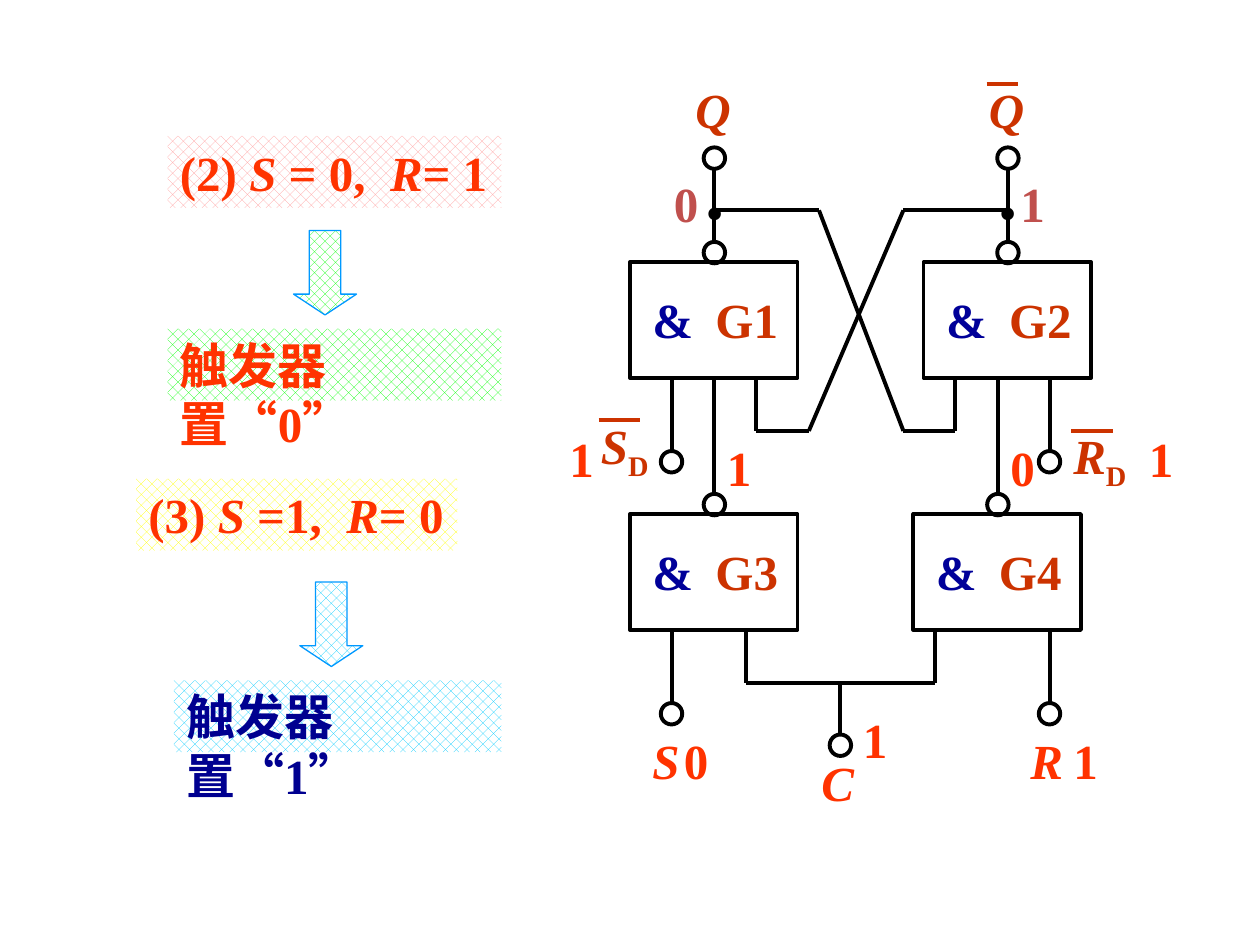
from itertools import pairwise

from lxml.etree import SubElement
from pptx import Presentation
from pptx.dml.color import RGBColor
from pptx.enum.dml import MSO_PATTERN
from pptx.enum.lang import MSO_LANGUAGE_ID as LANG
from pptx.enum.shapes import MSO_CONNECTOR, MSO_SHAPE
from pptx.enum.text import MSO_ANCHOR, PP_ALIGN
from pptx.oxml.ns import qn
from pptx.util import Inches, Pt

BLACK, RED, RUST, NAVY = "000000", "FF3300", "CC3300", "000099"
BUBBLE = 0.17


def color(target, value):
    """Set a colour format from a hex string."""
    target.rgb = RGBColor.from_string(value)


def write(s, parts, ink, size=28, wrap=True):
    """Write styled parts (text, style) as one paragraph."""
    tf = s.text_frame
    tf.word_wrap = wrap
    tf.vertical_anchor = MSO_ANCHOR.TOP
    p = tf.paragraphs[0]
    p.alignment = PP_ALIGN.LEFT
    for text, style in parts:
        r = p.add_run()
        r.text = text
        r.font.name = "Times New Roman"
        r.font.size = Pt(size)
        r.font.bold = True
        r.font.italic = style == "italic"
        color(r.font.color, ink)
        if style == "sub":
            r.font._element.set("baseline", "-25000")
        if style == "chinese":
            r.font.language_id = LANG.SIMPLIFIED_CHINESE


def label(slide, x, y, w, text, ink=RED, style="", sub="", size=28):
    """Add a text label with an optional subscript."""
    s = slide.shapes.add_textbox(Inches(x), Inches(y), Inches(w), Inches(0.57))
    parts = [(text, style)] + ([(sub, "sub")] if sub else [])
    write(s, parts, ink, size)


def outline(slide, kind, x, y, w, h, ink=BLACK, width=2.25):
    """Add an unfilled preset shape with an outline."""
    s = slide.shapes.add_shape(kind, Inches(x), Inches(y), Inches(w), Inches(h))
    s.shadow.inherit = False
    s.fill.background()
    color(s.line.color, ink)
    s.line.width = Pt(width)
    return s


def hatch(s, ink):
    """Fill a shape with a pattern on white."""
    s.fill.patterned()
    s.fill.pattern = MSO_PATTERN.from_xml("pct40")
    color(s.fill.fore_color, ink)
    color(s.fill.back_color, "FFFFFF")


def banner(slide, x, y, w, parts, ink, fill, wrap):
    """Add a patterned text banner."""
    s = outline(slide, MSO_SHAPE.RECTANGLE, x, y, w, 0.57)
    s.line.fill.background()
    hatch(s, fill)
    write(s, parts, ink, wrap=wrap)


def arrow(slide, x, y, fill):
    """Add a patterned down arrow."""
    s = outline(slide, MSO_SHAPE.DOWN_ARROW, x, y, 0.5, 0.67, "0099FF", 0.75)
    s.adjustments[0], s.adjustments[1] = 0.5, 0.33
    hatch(s, fill)


def wire(slide, *points, ink=BLACK):
    """Join successive points with straight lines."""
    for (x1, y1), (x2, y2) in pairwise(points):
        s = slide.shapes.add_connector(
            MSO_CONNECTOR.STRAIGHT, Inches(x1), Inches(y1), Inches(x2), Inches(y2))
        color(s.line.color, ink)
        s.line.width = Pt(2.25)
        SubElement(s._element.spPr, qn("a:effectLst"))


def bubble(slide, x, top):
    """Add a small circle centred on x."""
    outline(slide, MSO_SHAPE.OVAL, x - BUBBLE / 2, top, BUBBLE, BUBBLE)


def terminal(slide, x, start, end):
    """Add a downward wire that ends in a circle."""
    wire(slide, (x, start), (x, end))
    bubble(slide, x, end)


def gate(slide, x, y, name):
    """Add a NAND gate with its output bubble."""
    outline(slide, MSO_SHAPE.RECTANGLE, x, y, 1.33, 0.92)
    label(slide, x + 0.08, y + 0.17, 0.58, "&", NAVY)
    label(slide, x + 0.58, y + 0.17, 0.92, name, RUST)
    bubble(slide, x + 0.67, y - BUBBLE + 0.01)


def output(slide, x):
    """Add an output wire with its terminal and junction dot."""
    wire(slide, (x, 1.92), (x, 1.33))
    bubble(slide, x, 1.17)
    label(slide, x - 0.17, 1.08, 0.35, ".", BLACK, size=44)


def cases(slide):
    """Add the two input cases and their results."""
    rows = [
        (1.33, 1.08, 2.65, "(2) ", " = 0,  ", "= 1", "FF9999"),
        (1.08, 3.8, 2.55, "(3) ", " =1,  ", "= 0", "FFFF00"),
    ]
    for x, y, w, number, s_value, r_value, fill in rows:
        parts = [(number, ""), ("S", "italic"), (s_value, ""),
                 ("R", "italic"), (r_value, "")]
        banner(slide, x, y, w, parts, RED, fill, False)
    results = [
        (1.33, 2.61, 2.65, "触发器置“0”", RED, "00FF00", 2.33, 1.83),
        (1.38, 5.4, 2.6, "触发器置“1”", "000090", "00CCFF", 2.38, 4.62),
    ]
    for x, y, w, text, ink, fill, arrow_x, arrow_y in results:
        arrow(slide, arrow_x, arrow_y, fill)
        banner(slide, x, y, w, [(text, "chinese")], ink, fill, True)


def circuit(slide):
    """Add the gates and wiring of the clocked flip-flop."""
    for x, y, name in [(5, 2.08, "G1"), (7.33, 2.08, "G2"),
                       (5, 4.08, "G3"), (7.25, 4.08, "G4")]:
        gate(slide, x, y, name)
    for x in (5.67, 8):
        output(slide, x)
    for x in (5.33, 8.33):
        for y in (3, 5):
            terminal(slide, x, y, y + 0.58)
    for x in (5.67, 7.92):
        wire(slide, (x, 3.92), (x, 3))
    wire(slide, (5.67, 1.67), (6.5, 1.67), (7.17, 3.42), (7.58, 3.42), (7.58, 3))
    wire(slide, (8, 1.67), (7.17, 1.67), (6.42, 3.42), (6, 3.42), (6, 3))
    wire(slide, (5.92, 5), (5.92, 5.42), (7.42, 5.42), (7.42, 5))
    terminal(slide, 6.67, 5.42, 5.83)


def signals(slide):
    """Add signal names, overbars and logic values."""
    for x, y, text, sub, ink in [
        (5.42, 0.58, "Q", "", RUST), (7.75, 0.58, "Q", "", RUST),
        (4.67, 3.25, "S", "D", RUST), (8.42, 3.33, "R", "D", RUST),
        (5.08, 5.75, "S", "", RED), (8.08, 5.75, "R", "", RED),
        (6.42, 5.92, "C", "", RED),
    ]:
        label(slide, x, y, 0.72, text, ink, "italic", sub)
    for x1, x2, y in [(7.83, 8.08, 0.67), (4.75, 5.08, 3.33), (8.5, 8.83, 3.42)]:
        wire(slide, (x1, y), (x2, y), ink=RUST)
    for x, y, digit, ink in [
        (5.25, 1.33, "0", "C0504D"), (8, 1.33, "1", "C0504D"),
        (4.42, 3.35, "1", RED), (9.02, 3.35, "1", RED),
        (5.67, 3.42, "1", RED), (7.92, 3.42, "0", RED),
        (5.33, 5.75, "0", RED), (8.42, 5.75, "1", RED), (6.75, 5.58, "1", RED),
    ]:
        label(slide, x, y, 0.4, digit, ink)


def main():
    """Build and save the slide."""
    prs = Presentation()
    prs.slide_width, prs.slide_height = Inches(10), Inches(7.5)
    slide = prs.slides.add_slide(prs.slide_layouts[6])
    cases(slide)
    circuit(slide)
    signals(slide)
    prs.save("out.pptx")


if __name__ == "__main__":
    main()
